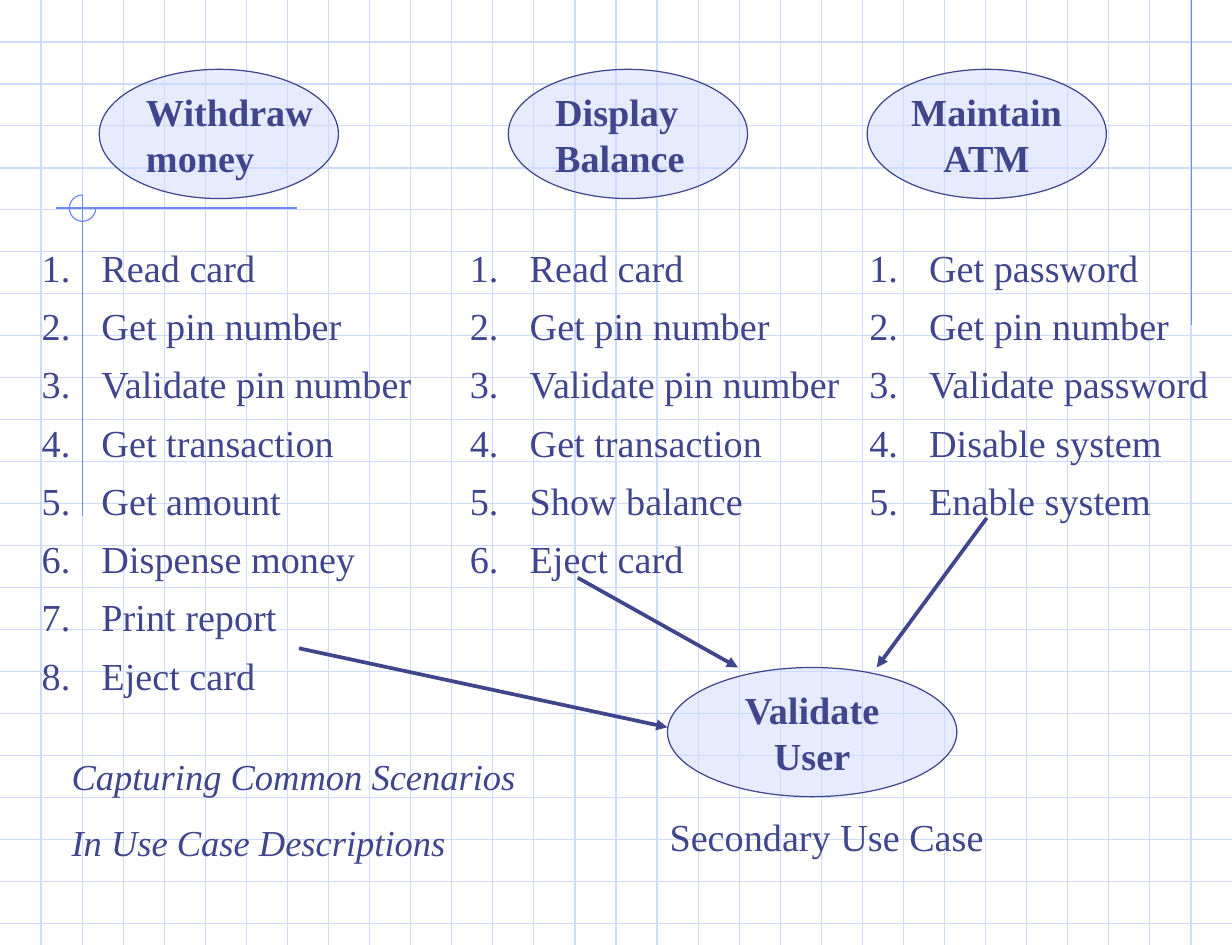
from dataclasses import dataclass

from lxml import etree
from pptx import Presentation
from pptx.dml.color import RGBColor
from pptx.enum.shapes import MSO_CONNECTOR, MSO_SHAPE
from pptx.enum.text import MSO_ANCHOR, MSO_AUTO_SIZE, PP_ALIGN
from pptx.oxml.ns import qn
from pptx.util import Inches, Pt

WIDTH, HEIGHT = 10.3, 7.9
FONT = "Times New Roman"
INK, GRID, ACCENT = "40458C", "CFDBFD", "6F89F7"
ROWS, ROW_GAP = 22, 7.72 / 22
COLUMNS, COLUMN_GAP = 29, WIDTH / 30


@dataclass
class UseCase:
    left: float
    top: float
    width: float
    lines: list[str]
    align: PP_ALIGN


@dataclass
class TextBlock:
    left: float
    top: float
    width: float
    height: float
    lines: list[str]
    size: float = 23
    before: float = 14.4
    italic: bool = False
    numbered: bool = False


@dataclass
class Line:
    x1: float
    y1: float
    x2: float
    y2: float


USE_CASES = [
    UseCase(0.83, 0.58, 2, ["Withdraw", "money"], PP_ALIGN.LEFT),
    UseCase(4.25, 0.58, 2, ["Display", "Balance"], PP_ALIGN.LEFT),
    UseCase(7.25, 0.58, 2, ["Maintain", "ATM"], PP_ALIGN.CENTER),
    UseCase(5.58, 5.58, 2.42, ["Validate", "User"], PP_ALIGN.CENTER),
]
TEXT_BLOCKS = [
    TextBlock(0.25, 2.08, 3.42, 3.8, [
        "Read card", "Get pin number", "Validate pin number", "Get transaction",
        "Get amount", "Dispense money", "Print report", "Eject card",
    ], numbered=True),
    TextBlock(3.83, 2.08, 3.42, 2.83, [
        "Read card", "Get pin number", "Validate pin number", "Get transaction",
        "Show balance", "Eject card",
    ], numbered=True),
    TextBlock(7.17, 2.08, 3.13, 2.34, [
        "Get password", "Get pin number", "Validate password", "Disable system",
        "Enable system",
    ], numbered=True),
    TextBlock(0.5, 6.25, 4.17, 1.03,
              ["Capturing Common Scenarios", "In Use Case Descriptions"],
              size=22, before=13.8, italic=True),
    TextBlock(5.5, 6.75, 3.5, 0.49, ["Secondary Use Case"]),
]
ARROWS = [
    Line(8.25, 4.33, 7.33, 5.58),
    Line(4.83, 4.83, 6.17, 5.58),
    Line(2.5, 5.42, 5.58, 6.08),
]
ACCENT_LINES = [
    Line(9.96, 0, 9.96, 2.72),
    Line(2.48, 1.74, 0.47, 1.74),
    Line(0.69, 1.63, 0.69, 4.31),
]


def paint(target, colour: str) -> None:
    target.rgb = RGBColor.from_string(colour)


def draw_line(page, line: Line, colour: str, weight: float = 0.75, arrow: bool = False) -> None:
    connector = page.shapes.add_connector(
        MSO_CONNECTOR.STRAIGHT,
        Inches(line.x1), Inches(line.y1), Inches(line.x2), Inches(line.y2))
    paint(connector.line.color, colour)
    connector.line.width = Pt(weight)
    if arrow:
        etree.SubElement(connector.line._get_or_add_ln(), qn("a:tailEnd"), type="triangle")
    etree.SubElement(connector._element.spPr, qn("a:effectLst"))


def add_span(para, text: str, size: float, bold: bool = False, italic: bool = False) -> None:
    span = para.add_run()
    span.text = text
    span.font.name = FONT
    span.font.size = Pt(size)
    span.font.bold = bold
    span.font.italic = italic
    paint(span.font.color, INK)


def number_paragraph(para) -> None:
    props = para._p.get_or_add_pPr()
    props.set("marL", str(Inches(0.5)))
    props.set("indent", str(-Inches(0.5)))
    colour = etree.SubElement(props, qn("a:buClr"))
    etree.SubElement(colour, qn("a:srgbClr"), val=INK)
    etree.SubElement(props, qn("a:buFont"), typeface=FONT)
    etree.SubElement(props, qn("a:buAutoNum"), type="arabicPeriod")
    para.line_spacing = 0.75


def paragraphs(frame, lines: list[str]):
    for index, text in enumerate(lines):
        yield (frame.add_paragraph() if index else frame.paragraphs[0]), text


def draw_use_case(page, case: UseCase) -> None:
    oval = page.shapes.add_shape(
        MSO_SHAPE.OVAL, Inches(case.left), Inches(case.top), Inches(case.width), Inches(1.08))
    oval.shadow.inherit = False
    oval.fill.solid()
    paint(oval.fill.fore_color, GRID)
    fill_colour = oval._element.spPr.find(qn("a:solidFill"))[0]
    etree.SubElement(fill_colour, qn("a:alpha"), val="50000")
    paint(oval.line.color, INK)
    oval.line.width = Pt(0.75)
    frame = oval.text_frame
    frame.word_wrap = False
    frame.vertical_anchor = MSO_ANCHOR.MIDDLE
    for para, text in paragraphs(frame, case.lines):
        para.alignment = case.align
        add_span(para, text, 23, bold=True)


def draw_text(page, block: TextBlock) -> None:
    box = page.shapes.add_textbox(
        Inches(block.left), Inches(block.top), Inches(block.width), Inches(block.height))
    frame = box.text_frame
    frame.word_wrap = True
    frame.auto_size = MSO_AUTO_SIZE.SHAPE_TO_FIT_TEXT
    for index, (para, text) in enumerate(paragraphs(frame, block.lines)):
        if block.numbered:
            number_paragraph(para)
        if index:
            para.space_before = Pt(block.before)
        add_span(para, text, block.size, italic=block.italic)


def draw_background(page) -> None:
    # Squared paper
    for row in range(1, ROWS + 1):
        draw_line(page, Line(0, row * ROW_GAP, WIDTH, row * ROW_GAP), GRID)
    for column in range(1, COLUMNS + 1):
        draw_line(page, Line(column * COLUMN_GAP, 0, column * COLUMN_GAP, HEIGHT), GRID)
    # Accent lines and the three-quarter ring at their crossing
    for line in ACCENT_LINES:
        draw_line(page, line, ACCENT)
    ring = page.shapes.add_shape(
        MSO_SHAPE.ARC, Inches(0.58), Inches(1.63), Inches(0.22), Inches(0.22))
    ring.shadow.inherit = False
    ring.adjustments[0] = 0
    ring.adjustments[1] = 162  # 270 degrees, in units of 100000/60000 degree
    ring.fill.background()
    paint(ring.line.color, ACCENT)
    ring.line.width = Pt(0.75)


def main() -> None:
    deck = Presentation()
    deck.slide_width, deck.slide_height = Inches(WIDTH), Inches(HEIGHT)
    page = deck.slides.add_slide(deck.slide_layouts[6])
    draw_background(page)
    # Use cases, their steps and the captions
    for case in USE_CASES:
        draw_use_case(page, case)
    for block in TEXT_BLOCKS:
        draw_text(page, block)
    # Links to the shared use case
    for arrow in ARROWS:
        draw_line(page, arrow, INK, weight=2.25, arrow=True)
    deck.save("out.pptx")


if __name__ == "__main__":
    main()
